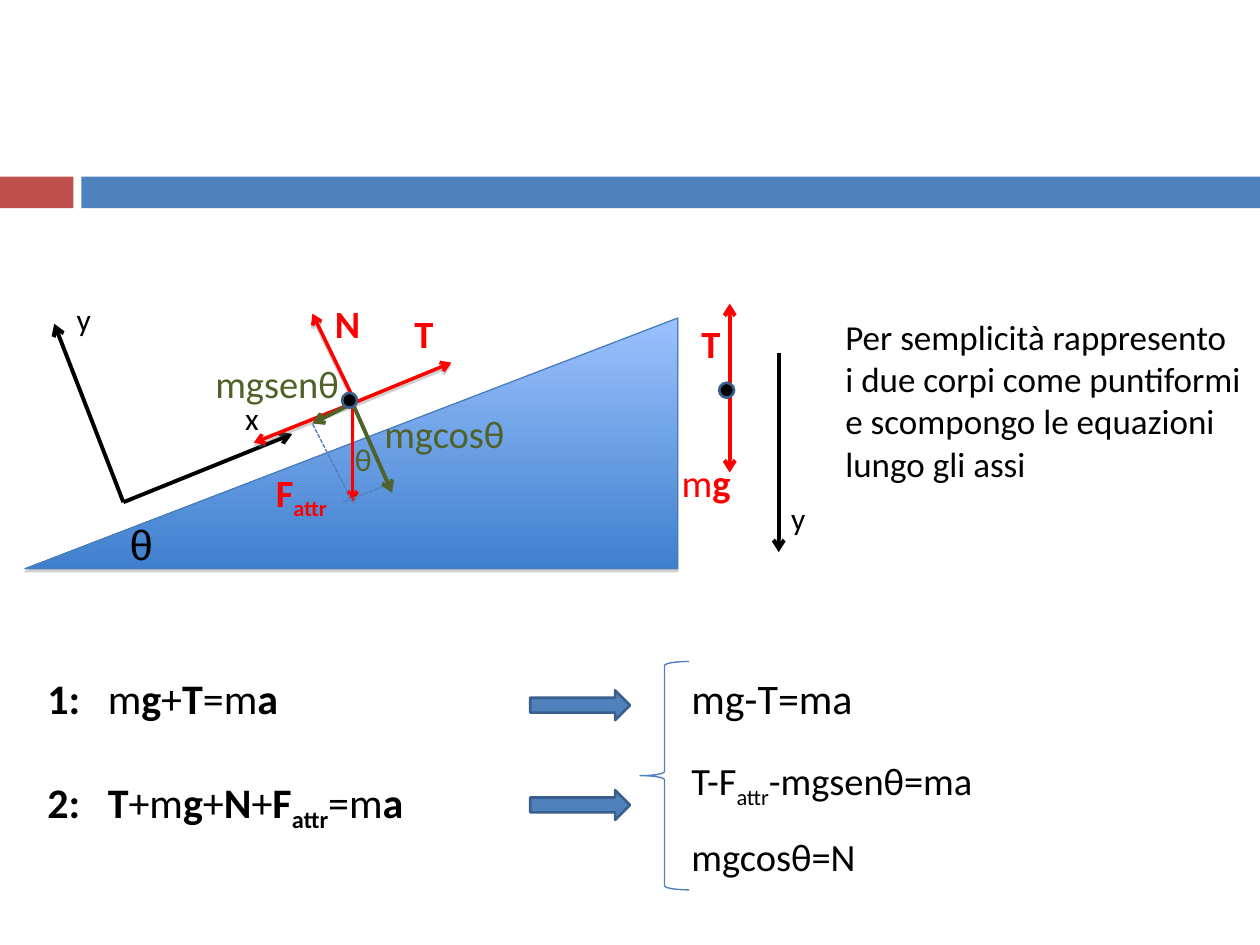
from lxml.etree import SubElement
from pptx import Presentation
from pptx.dml.color import RGBColor
from pptx.enum.dml import MSO_LINE
from pptx.enum.shapes import MSO_CONNECTOR, MSO_SHAPE
from pptx.enum.text import MSO_AUTO_SIZE
from pptx.oxml.ns import qn
from pptx.util import Pt

rgb = RGBColor.from_string
BLACK, RED, GREEN, BLUE, OUTLINE = "000000", "FF0000", "4F6228", "4F81BD", "3A5F8C"

prs = Presentation()
prs.slide_width, prs.slide_height = Pt(720), Pt(540)
slide = prs.slides.add_slide(prs.slide_layouts[6])
shapes = slide.shapes


def add_preset(kind, left, top, width, height, fill=None, line=None, weight=1.5):
    shape = shapes.add_shape(kind, Pt(left), Pt(top), Pt(width), Pt(height))
    shape.shadow.inherit = False
    if fill:
        shape.fill.solid()
        shape.fill.fore_color.rgb = rgb(fill)
    else:
        shape.fill.background()
    if line:
        shape.line.color.rgb = rgb(line)
        shape.line.width = Pt(weight)
    else:
        shape.line.fill.background()
    return shape


def add_label(left, top, width, height, paragraphs, size, color=BLACK, font="Calibri",
              spacing=None, hanging=0):
    """Each paragraph is a list of (text, style): b is bold, s is subscript."""
    frame = shapes.add_textbox(Pt(left), Pt(top), Pt(width), Pt(height)).text_frame
    frame.word_wrap = True
    frame.auto_size = MSO_AUTO_SIZE.SHAPE_TO_FIT_TEXT
    for i, runs in enumerate(paragraphs):
        paragraph = frame.add_paragraph() if i else frame.paragraphs[0]
        paragraph.font.size = Pt(size)
        paragraph.font.name = font
        paragraph.font.color.rgb = rgb(color)
        if spacing:
            paragraph.line_spacing = spacing
        if hanging:
            properties = paragraph._p.get_or_add_pPr()
            properties.set("marL", str(Pt(hanging)))
            properties.set("indent", str(-Pt(hanging)))
        for text, style in runs:
            run = paragraph.add_run()
            run.text = text
            if "b" in style:
                run.font.bold = True
            if "s" in style:
                run.font._element.set("baseline", "-25000")


# Header band
add_preset(MSO_SHAPE.RECTANGLE, 0, 101, 42, 18, "C0504D")
add_preset(MSO_SHAPE.RECTANGLE, 46.5, 101, 673.5, 18, BLUE)

# Inclined plane
plane = add_preset(MSO_SHAPE.RIGHT_TRIANGLE, 14.25, 181.75, 373, 143.25, BLUE, "4A7EBB", 0.75)
plane._element.spPr.xfrm.set("flipH", "1")
plane.fill.gradient()
plane.fill.gradient_angle = 270
for stop, (position, color) in zip(plane.fill.gradient_stops, [(0, "9BC1FF"), (1, "3F80CD")]):
    stop.position = position
    stop.color.rgb = rgb(color)
shadowed = [plane._element.spPr.find(qn("a:effectLst"))]

# Axes, forces and components: start, end, colour, weight, kind
body = (201.5, 230.5)
origin = (70.5, 287)
weight_tip = (201.5, 287)
parallel_tip = (178.5, 242)
vectors = [
    (origin, (31, 185), BLACK, 2.25, "arrow"),
    (origin, (167, 248), BLACK, 2.25, "arrow"),
    ((445, 202), (445, 315.5), BLACK, 2.25, "arrow"),
    ((417, 225), (417, 270), RED, 2.25, "arrow"),
    ((417, 219), (417, 173.5), RED, 2.25, "arrow"),
    (body, (258, 207.25), RED, 2, "shadow arrow"),
    (body, (145, 253), RED, 2, "shadow arrow"),
    ((202.25, 228.25), (178.5, 179.25), RED, 2, "shadow arrow"),
    (body, weight_tip, RED, 2, "shadow arrow"),
    (weight_tip, parallel_tip, BLUE, 0.79, "dash"),
    (body, parallel_tip, GREEN, 2.25, "arrow"),
    ((196, 287), (224, 276), BLUE, 0.79, "dash"),
    (body, (224, 281.5), GREEN, 2.25, "arrow"),
]
for start, end, color, weight, kind in vectors:
    vector = shapes.add_connector(MSO_CONNECTOR.STRAIGHT, *map(Pt, start + end))
    vector.line.color.rgb = rgb(color)
    vector.line.width = Pt(weight)
    if kind == "dash":
        vector.line.dash_style = MSO_LINE.SQUARE_DOT
    else:
        SubElement(vector.line._get_or_add_ln(), qn("a:tailEnd"), type="arrow")
    effects = SubElement(vector._element.spPr, qn("a:effectLst"))
    if "shadow" in kind:
        shadowed.append(effects)

# Soft shadows below the plane and its forces
for effects in shadowed:
    shadow = SubElement(effects, qn("a:outerShdw"), blurRad="0", dist=str(Pt(1.7)),
                        dir="5400000", rotWithShape="0")
    tint = SubElement(shadow, qn("a:srgbClr"), val="808080")
    SubElement(tint, qn("a:alpha"), val="36000")

# Diagram labels
add_label(67, 292.5, 37, 34, [[("θ", "")]], 24, font="Arial")
for left, top, axis in [(36.75, 167.75, "y"), (133, 224.5, "x"), (445, 281.5, "y")]:
    add_label(left, top, 28, 29, [[(axis, "")]], 18)
for left, top, width, runs, color in [
    (382.5, 258.5, 45, [("m", ""), ("g", "b")], RED),
    (393.75, 179.25, 45, [("T", "b")], RED),
    (229.75, 173.5, 45, [("T", "b")], RED),
    (184.25, 167.75, 45, [("N", "b")], RED),
    (150.5, 264.25, 62.5, [("F", "b"), ("attr", "bs")], RED),
    (212.5, 230.5, 96.5, [("mgcosθ", "")], GREEN),
    (116, 202.25, 96.5, [("mgsenθ", "")], GREEN),
]:
    add_label(left, top, width, 34, [runs], 22, color)
add_label(195.75, 247.75, 24, 29, [[("θ", "")]], 18, GREEN)

# Explanation
add_label(476, 177, 241, 104.5, [[(
    "Per semplicità rappresento i due corpi come puntiformi "
    "e scompongo le equazioni lungo gli assi", "")]], 20)

# Vector equations
add_label(20, 381, 175.5, 36, [[
    ("1:\t", "b"), ("m", ""), ("g", "b"), ("+", ""), ("T", "b"), ("=m", ""), ("a", "b"),
]], 24, hanging=34.5)
add_label(20, 440, 306, 36, [[
    ("2:\t", "b"), ("T", "b"), ("+m", ""), ("g", "b"), ("+", ""), ("N", "b"), ("+", ""),
    ("F", "b"), ("attr", "bs"), ("=m", ""), ("a", "b"),
]], 24, hanging=34.5)
for top in (394.5, 451.5):
    add_preset(MSO_SHAPE.RIGHT_ARROW, 303, top, 57, 17, BLUE, OUTLINE)

# Scalar equations
add_label(388, 381, 175.5, 36, [[("mg-T=ma", "")]], 24)
add_label(388, 414, 221, 87, [
    [("T-F", ""), ("attr", "s"), ("-mgsenθ=ma", "")],
    [("mgcosθ=N", "")],
], 22, spacing=1.5)
add_preset(MSO_SHAPE.LEFT_BRACE, 365.75, 378, 28, 130.5, line=BLUE, weight=0.79)

# Point bodies
for left, top in [(195.5, 224.5), (411, 218.75)]:
    add_preset(MSO_SHAPE.OVAL, left, top, 8.5, 8.5, BLACK, OUTLINE)

prs.save("out.pptx")
